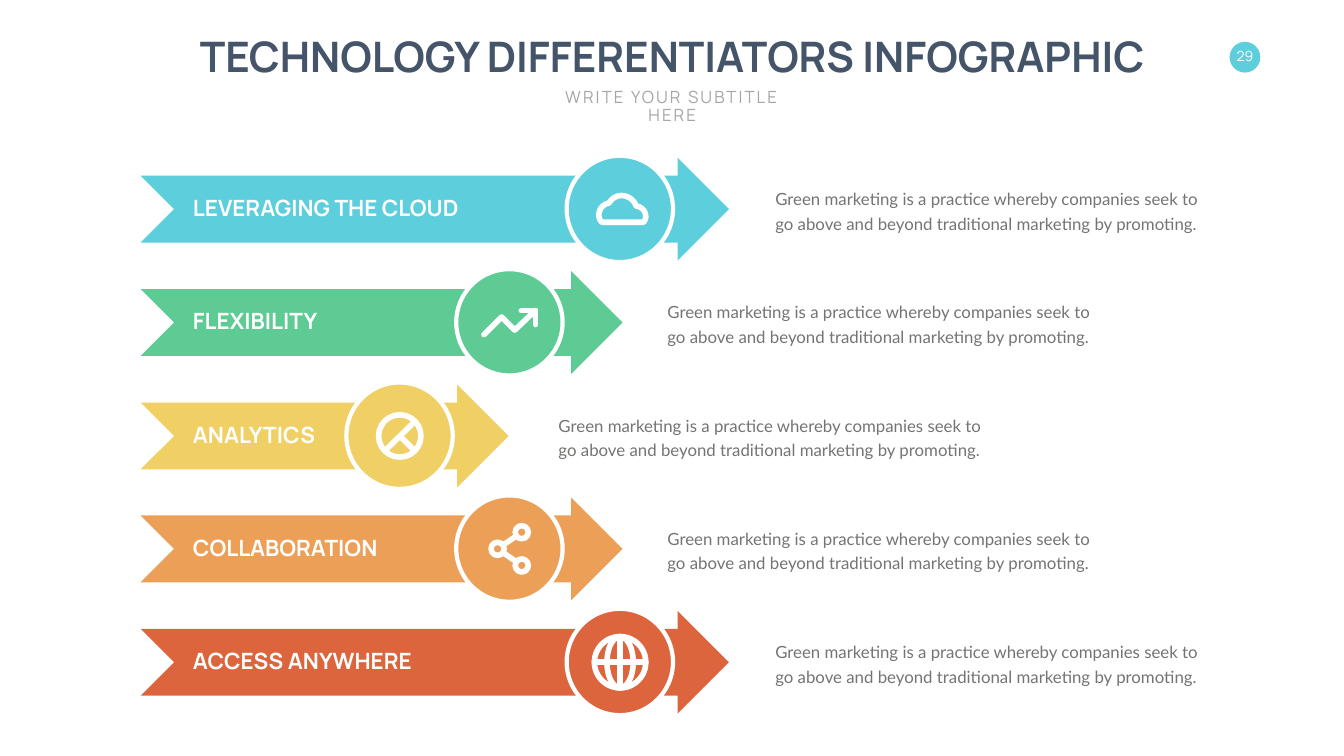
from pptx import Presentation
from pptx import util as u
from pptx.dml.color import RGBColor
from pptx.enum import shapes as sh, text as tx
from pptx.oxml.ns import qn
from lxml import etree

PX = 9144  # EMU in one px, 100 px to the inch
WHITE = RGBColor(0xFF, 0xFF, 0xFF)
NAVY = RGBColor(0x44, 0x54, 0x69)
SILVER = RGBColor(0xA6, 0xA6, 0xA6)
GRAY = RGBColor(0x73, 0x75, 0x72)
CYAN = RGBColor(0x5D, 0xCE, 0xDB)
GREEN = RGBColor(0x5E, 0xCB, 0x95)
YELLOW = RGBColor(0xF0, 0xD0, 0x65)
ORANGE = RGBColor(0xEC, 0x9F, 0x56)
RED = RGBColor(0xDC, 0x65, 0x3D)
PEN = 8
BODY = ("Green marketing is a practice whereby companies seek to "
        "go above and beyond traditional marketing by promoting.")


def emu(*vals):
    return [round(v * PX) for v in vals]


def add_text(slide, box, words, size, color, font="Manrope", bold=False, wrap=False,
             align=tx.PP_ALIGN.LEFT, anchor=tx.MSO_ANCHOR.MIDDLE,
             pitch=0.9, track=0, inset=None):
    frame = slide.shapes.add_textbox(*emu(*box)).text_frame
    frame.word_wrap = wrap
    frame.auto_size = tx.MSO_AUTO_SIZE.SHAPE_TO_FIT_TEXT
    frame.vertical_anchor = anchor
    if inset is not None:
        frame.margin_left = frame.margin_right = inset
        frame.margin_top = frame.margin_bottom = inset
    para = frame.paragraphs[0]
    para.alignment = align
    para.line_spacing = pitch
    run = para.add_run()
    run.text = words
    run.font.name = font
    run.font.size = u.Pt(size)
    run.font.bold = bold
    run.font.color.rgb = color
    if track:
        run._r.get_or_add_rPr().set("spc", str(track * 100))


def add_solid(slide, kind, box, fill, width=0):
    """Filled preset shape; a width above zero gives it a white outline."""
    shape = slide.shapes.add_shape(kind, *emu(*box))
    shape.shadow.inherit = False
    shape.fill.solid()
    shape.fill.fore_color.rgb = fill
    if width:
        shape.line.color.rgb = WHITE
        shape.line.width = u.Pt(width)
    else:
        shape.line.fill.background()
    return shape


def add_ring(slide, box, fill):
    add_solid(slide, sh.MSO_SHAPE.OVAL, box, fill, PEN)


def ink(shape):
    """White stroke with round ends and joins."""
    shape.line.color.rgb = WHITE
    shape.line.width = u.Pt(PEN)
    edge = shape._element.spPr.find(qn("a:ln"))
    edge.set("cap", "rnd")
    etree.SubElement(edge, qn("a:round"))


def add_line(slide, x, y, start, end):
    ends = emu(x + start[0], y + start[1], x + end[0], y + end[1])
    line = slide.shapes.add_connector(sh.MSO_CONNECTOR.STRAIGHT, *ends)
    ink(line)
    etree.SubElement(line._element.spPr, qn("a:effectLst"))


def add_trace(slide, x, y, points, close=False):
    spots = [emu(x + px, y + py) for px, py in points]
    pen = slide.shapes.build_freeform(*spots[0])
    pen.add_line_segments(spots[1:], close=close)
    shape = pen.convert_to_shape()
    shape.shadow.inherit = False
    shape.fill.background()
    ink(shape)


def curve(a, b, c, d, steps=10):
    """Points after a on the cubic Bezier curve from a to d."""
    for i in range(1, steps + 1):
        t = i / steps
        s = 1 - t
        yield tuple(s**3 * p + 3 * s * s * t * q + 3 * s * t * t * r + t**3 * w
                    for p, q, r, w in zip(a, b, c, d))


def cloud(slide, x, y, fill):
    arcs = [((155, 129), (157, 125), (157, 121)),
            ((157, 110), (149, 101), (138, 100)),
            ((134, 88), (122, 79), (109, 79)),
            ((99, 79), (89, 85), (84, 94)),
            ((72, 96), (64, 106), (64, 118)),
            ((64, 123), (66, 128), (70, 132))]
    points = [(70, 132), (153, 132)]
    for arc in arcs:
        points += curve(points[-1], *arc)
    add_trace(slide, x, y, points[:-1], close=True)


def trend(slide, x, y, fill):
    add_trace(slide, x, y, [(55, 130), (90, 95), (116, 121), (157, 82)])
    add_trace(slide, x, y, [(129, 82), (157, 82), (157, 110)])


def pie(slide, x, y, fill):
    add_ring(slide, (x + 64, y + 64, 84, 84), fill)
    add_line(slide, x, y, (81, 131), (132, 81))
    add_line(slide, x, y, (110, 110), (131, 131))


def share(slide, x, y, fill):
    hub, *tips = nodes = [(82, 106), (130, 73), (130, 139)]
    for tip in tips:
        add_line(slide, x, y, hub, tip)
    for cx, cy in nodes:
        add_ring(slide, (x + cx - 13, y + cy - 13, 26, 26), fill)


def globe(slide, x, y, fill):
    add_ring(slide, (x + 55, y + 55, 102, 102), fill)
    add_ring(slide, (x + 80, y + 55, 52, 102), fill)
    add_line(slide, x, y, (106, 55), (106, 157))
    add_line(slide, x, y, (55, 106), (157, 106))


# label, label width, colour, icon, size
ROWS = [("LEVERAGING THE CLOUD", 558, CYAN, cloud, "long"),
        ("FLEXIBILITY", 270, GREEN, trend, "mid"),
        ("ANALYTICS", 273, YELLOW, pie, "short"),
        ("COLLABORATION", 402, ORANGE, share, "mid"),
        ("ACCESS ANYWHERE", 465, RED, globe, "long")]
# arrow width, then disc and body offsets from the arrow's left
SIZES = {"long": (1167, 845, 1249), "mid": (956, 626, 1035), "short": (730, 408, 819)}


def add_row(slide, x, y, label, room, color, icon, size):
    width, disc, body = SIZES[size]
    arrow = add_solid(slide, sh.MSO_SHAPE.NOTCHED_RIGHT_ARROW, (x, y, width, 204), color)
    arrow.adjustments[0] = 0.65
    arrow.adjustments[1] = 0.5
    add_solid(slide, sh.MSO_SHAPE.OVAL, (x + disc, y - 4, 211, 211), color, 6)
    add_text(slide, (x + 94, y + 70, room, 64), label, 32, WHITE, bold=True)
    icon(slide, x + disc, y - 4, color)
    add_text(slide, (x + body, y + 50, 859, 103), BODY, 24, GRAY, font="Lato",
             wrap=True, pitch=u.Pt(35))


def add_head(slide, x, y):
    mid, top = tx.PP_ALIGN.CENTER, tx.MSO_ANCHOR.TOP
    add_text(slide, (x, y, 1947, 111), "TECHNOLOGY DIFFERENTIATORS INFOGRAPHIC",
             60, NAVY, bold=True, align=mid, anchor=top)
    add_text(slide, (x + 702, y + 105, 543, 50), "WRITE YOUR SUBTITLE HERE",
             24, SILVER, wrap=True, align=mid, anchor=top, track=3)


def add_badge(slide, x, y):
    add_solid(slide, sh.MSO_SHAPE.OVAL, (x, y, 61, 61), CYAN)
    add_text(slide, (x + 10, y + 14, 41, 34), "29", 20, WHITE,
             align=tx.PP_ALIGN.CENTER, inset=0)


def main():
    deck = Presentation()
    deck.slide_width, deck.slide_height = emu(2666, 1500)
    slide = deck.slides.add_slide(deck.slide_layouts[6])
    add_badge(slide, 2439, 83)
    add_head(slide, 360, 67)
    for i, row in enumerate(ROWS):
        add_row(slide, 279, 313 + round(i * 224.75), *row)
    deck.save("out.pptx")


if __name__ == "__main__":
    main()
